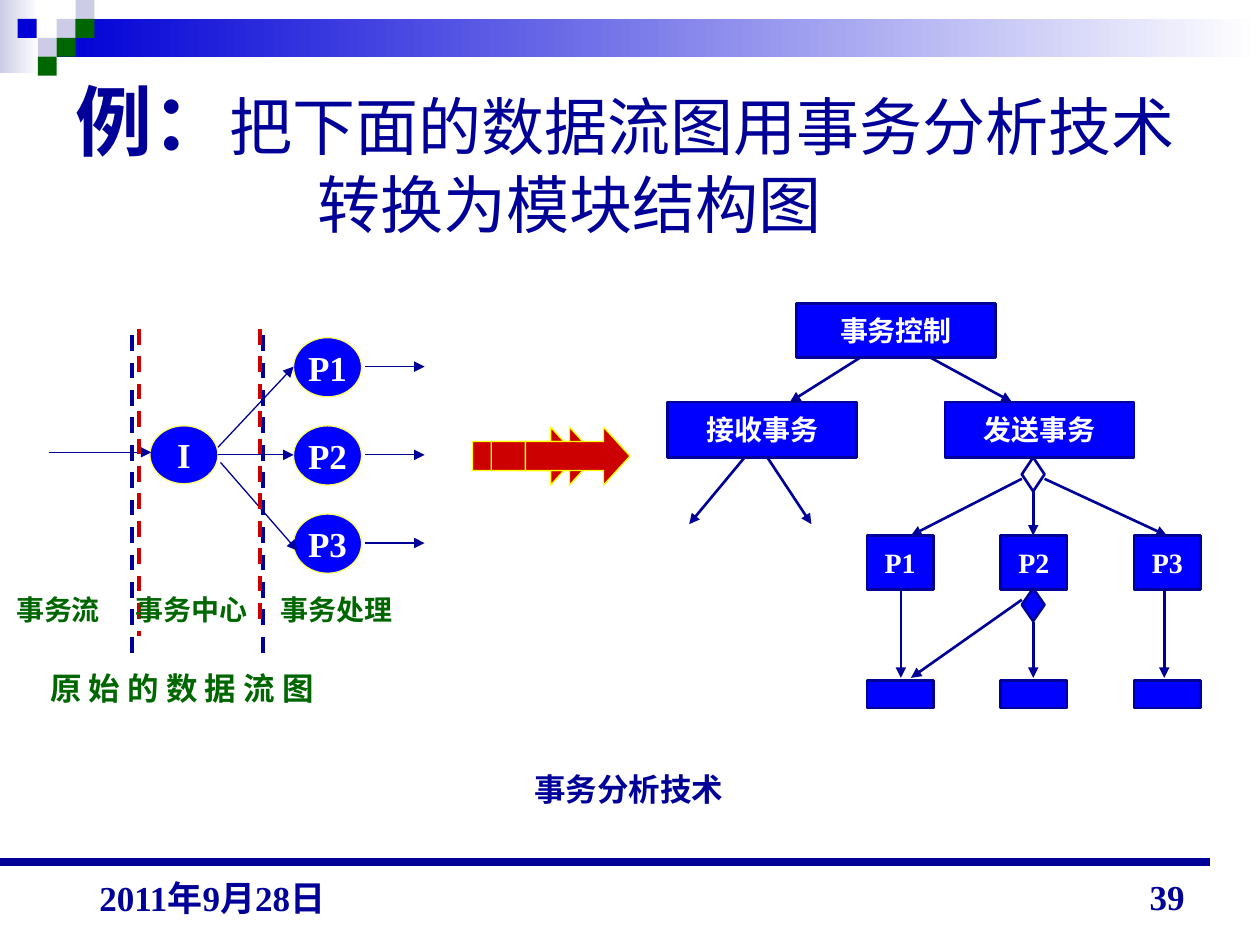
from lxml import etree
from pptx import Presentation
from pptx.dml.color import RGBColor
from pptx.enum.dml import MSO_LINE
from pptx.enum.shapes import MSO_CONNECTOR, MSO_SHAPE
from pptx.enum.text import MSO_ANCHOR, PP_ALIGN
from pptx.oxml.ns import qn
from pptx.util import Pt

EMU_PER_PX = 9144  # 100 px to the inch
FONT = "Times New Roman"
RECTANGLE, ELLIPSE = MSO_SHAPE.RECTANGLE, MSO_SHAPE.OVAL
DIAMOND, BLOCK_ARROW = MSO_SHAPE.DIAMOND, MSO_SHAPE.RIGHT_ARROW
STRAIGHT, DASH = MSO_CONNECTOR.STRAIGHT, MSO_LINE.DASH
TOP, MIDDLE, BOTTOM = MSO_ANCHOR.TOP, MSO_ANCHOR.MIDDLE, MSO_ANCHOR.BOTTOM
LEFT, CENTER, RIGHT = PP_ALIGN.LEFT, PP_ALIGN.CENTER, PP_ALIGN.RIGHT
COLORS = {
    "white": "FFFFFF", "lavender": "CCCCE6", "header": "0000D6",
    "navy": "000099", "blue": "0000FF", "green": "006600",
    "red": "CC0000", "yellow": "FFFF00", "pale_yellow": "FFFF66",
}


def px(value):
    return value * EMU_PER_PX


def rgb(name):
    return RGBColor.from_string(COLORS[name])


def add_run(paragraph, text, size, color, bold=True):
    run = paragraph.add_run()
    run.text = text
    run.font.name = FONT
    run.font.size = Pt(size)
    run.font.bold = bold
    run.font.color.rgb = rgb(color)


def add_shape(slide, kind, box, fill=None, line=None, width=1.5):
    shape = slide.shapes.add_shape(kind, *map(px, box))
    shape.shadow.inherit = False
    if fill:
        shape.fill.solid()
        shape.fill.fore_color.rgb = rgb(fill)
    else:
        shape.fill.background()
    if line:
        shape.line.color.rgb = rgb(line)
        shape.line.width = Pt(width)
    else:
        shape.line.fill.background()
    return shape


def add_gradient(slide, box, left_color):
    """Bar that fades to white on its right."""
    fill = add_shape(slide, RECTANGLE, box).fill
    fill.gradient()
    fill.gradient_angle = 180
    for stop, color in zip(fill.gradient_stops, ("white", left_color)):
        stop.color.rgb = rgb(color)


def add_node(slide, kind, box, label, size, line="navy", width=1.5):
    shape = add_shape(slide, kind, box, "blue", line, width)
    frame = shape.text_frame
    frame.word_wrap = False
    frame.vertical_anchor = MIDDLE
    paragraph = frame.paragraphs[0]
    paragraph.alignment = CENTER
    add_run(paragraph, label, size, "white")


def add_line(slide, start, end, width, color="navy", arrow=False, dashed=False):
    connector = slide.shapes.add_connector(STRAIGHT, *map(px, start + end))
    connector.line.color.rgb = rgb(color)
    connector.line.width = Pt(width)
    if dashed:
        connector.line.dash_style = DASH
    if arrow:
        line = connector.line._get_or_add_ln()
        etree.SubElement(line, qn("a:tailEnd"), type="triangle")
    etree.SubElement(connector._element.spPr, qn("a:effectLst"))


def add_text_frame(slide, box, anchor=TOP):
    frame = slide.shapes.add_textbox(*map(px, box)).text_frame
    frame.word_wrap = True
    frame.vertical_anchor = anchor
    return frame


def add_label(slide, box, text, size, color="green", align=LEFT, anchor=TOP, spacing=1.0):
    paragraph = add_text_frame(slide, box, anchor).paragraphs[0]
    paragraph.alignment = align
    paragraph.line_spacing = spacing
    add_run(paragraph, text, size, color)


def draw_frame(slide):
    add_gradient(slide, (0, 0, 31, 58), "lavender")
    add_gradient(slide, (45, 15, 955, 30), "header")
    squares = [
        (45, 15, "lavender"), (60, 0, "lavender"), (60, 15, "green"),
        (30, 30, "lavender"), (14, 15, "header"), (45, 30, "green"), (30, 45, "green"),
    ]
    for left, top, color in squares:
        add_shape(slide, RECTANGLE, (left, top, 15, 15), color)
    add_line(slide, (0, 684), (960, 684), 4.5)


def draw_title(slide):
    frame = add_text_frame(slide, (50, 50, 900, 150), MIDDLE)
    first = frame.paragraphs[0]
    add_run(first, "例：", 44, "navy")
    add_run(first, "把下面的数据流图用事务分析技术", 36, "navy", bold=False)
    second = frame.add_paragraph()
    second._p.get_or_add_pPr().set("marL", str(px(192)))
    add_run(second, "转换为模块结构图", 36, "navy", bold=False)


def draw_transition(slide):
    for left in (375, 390, 417):
        arrow = add_shape(slide, BLOCK_ARROW, (left, 339, 83, 46), "red", "yellow", 0.75)
        arrow.adjustments[1] = 0.455


def draw_data_flow(slide):
    add_node(slide, ELLIPSE, (119, 338, 54, 46), "I", 20, "pale_yellow", 0.75)
    for row in range(3):
        top = 268 + 70 * row
        center = top + 23
        add_node(slide, ELLIPSE, (233, top, 54, 47), f"P{row + 1}", 20, "pale_yellow", 0.75)
        add_line(slide, (290, center), (337, center), 0.75, arrow=True)
    flows = [
        ((39, 359), (120, 359)), ((173, 355), (233, 291)),
        ((173, 361), (233, 361)), ((175, 367), (236, 437)),
    ]
    for start, end in flows:
        add_line(slide, start, end, 0.75, arrow=True)
    for x in (105, 209):
        add_line(slide, (x, 266), (x, 523), 2.25, dashed=True)
    for x, bottom in ((110, 505), (206, 498)):
        add_line(slide, (x, 261), (x, bottom), 2.25, "red", dashed=True)
    for left, width, text in ((3, 134, "事务流"), (98, 135, "事务中心"), (213, 142, "事务处理")):
        add_label(slide, (left, 465, width, 37), text, 16)
    add_label(slide, (30, 532, 334, 34), "原 始 的 数 据 流 图", 18, spacing=0.8)


def draw_module_structure(slide):
    add_node(slide, RECTANGLE, (632, 241, 158, 43), "事务控制", 16)
    for left, label in ((530, "接收事务"), (750, "发送事务")):
        add_node(slide, RECTANGLE, (left, 319, 150, 44), label, 16)
    for column in range(3):
        left = 688 + 106 * column
        add_node(slide, RECTANGLE, (left, 425, 53, 43), f"P{column + 1}", 16)
        add_shape(slide, RECTANGLE, (left, 540, 53, 22), "blue", "navy")
    add_shape(slide, DIAMOND, (811, 363, 18, 27), None, "navy")
    add_shape(slide, DIAMOND, (811, 467, 18, 26), "blue", "navy")
    calls = [
        ((684, 283), (627, 319)), ((737, 283), (803, 319)),
        ((591, 363), (547, 416)), ((609, 363), (644, 416)),
        ((811, 380), (723, 425)), ((820, 389), (820, 425)), ((829, 380), (926, 425)),
        ((715, 467), (715, 538)), ((811, 476), (723, 538)),
        ((820, 494), (820, 538)), ((924, 467), (924, 538)),
    ]
    for start, end in calls:
        add_line(slide, start, end, 1.5, arrow=True)


def main():
    presentation = Presentation()
    presentation.slide_width = px(1000)
    presentation.slide_height = px(750)
    slide = presentation.slides.add_slide(presentation.slide_layouts[6])
    draw_frame(slide)
    draw_transition(slide)
    draw_data_flow(slide)
    draw_module_structure(slide)
    add_label(slide, (414, 606, 254, 40), "事务分析技术", 18, "navy")
    draw_title(slide)
    add_label(slide, (717, 683, 233, 50), "39", 20, "navy", RIGHT, BOTTOM)
    add_label(slide, (69, 682, 233, 52), "2011年9月28日", 20, "navy", LEFT, BOTTOM)
    presentation.save("out.pptx")


if __name__ == "__main__":
    main()
